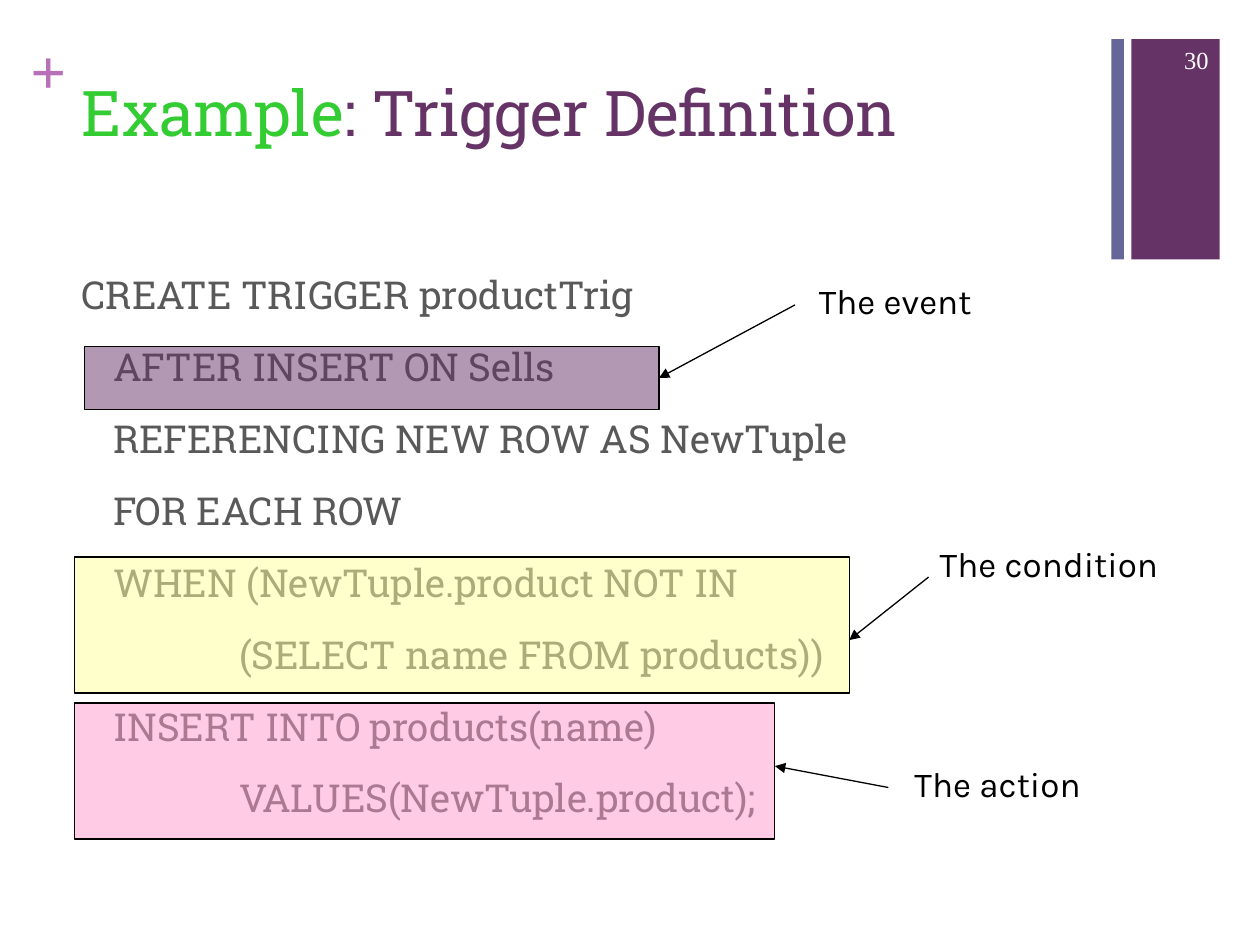
import pptx
import pptx.util
import pptx.dml.color
import pptx.enum.shapes
import pptx.enum.text
import pptx.oxml
import pptx.oxml.ns
import lxml.etree

SHAPES = pptx.enum.shapes.MSO_SHAPE
ANCHOR = pptx.enum.text.MSO_ANCHOR
ALIGN = pptx.enum.text.PP_ALIGN
COLUMNS, ROWS = 100, 75  # grid over the whole slide

PURPLE, BLACK = "663366", "000000"
SLAB, SANS, SERIF = "Roboto Slab", "Karla", "Times New Roman"
CODE_INDENTS = (0, 2.5, 12.5)  # columns for each code level


def color(value):
    return pptx.dml.color.RGBColor.from_string(value)


def add_element(parent, tag, **attributes):
    child = lxml.etree.SubElement(parent, pptx.oxml.ns.qn(tag))
    for name, value in attributes.items():
        child.set(name, str(value))
    return child


class SlideBuilder:
    def __init__(self, presentation):
        self.presentation = presentation
        self.slide = presentation.slides.add_slide(presentation.slide_layouts[5])

    def x(self, columns):
        return int(self.presentation.slide_width * columns / COLUMNS)

    def y(self, rows):
        return int(self.presentation.slide_height * rows / ROWS)

    def area(self, left, top, width, height):
        return self.x(left), self.y(top), self.x(width), self.y(height)

    def style(self, paragraph, font, size, fill, bold=False):
        paragraph.font.name = font
        paragraph.font.size = pptx.util.Pt(size)
        paragraph.font.bold = bold
        paragraph.font.color.rgb = color(fill)

    def title(self, area, parts):
        shape = self.slide.shapes.title
        shape.left, shape.top, shape.width, shape.height = self.area(*area)
        frame = shape.text_frame
        frame.vertical_anchor = ANCHOR.TOP
        frame.auto_size = pptx.enum.text.MSO_AUTO_SIZE.NONE
        paragraph = frame.paragraphs[0]
        paragraph.alignment = ALIGN.LEFT
        for text, fill in parts:
            run = paragraph.add_run()
            run.text = text
            run.font.color.rgb = color(fill)
        paragraph.font.name = SLAB
        paragraph.font.size = pptx.util.Pt(36)

    def text(self, area, text, font, size, fill, bold=False, wrap=True,
             inset=True, align=ALIGN.LEFT, anchor=ANCHOR.TOP):
        shape = self.slide.shapes.add_textbox(*self.area(*area))
        frame = shape.text_frame
        frame.word_wrap = wrap
        frame.vertical_anchor = anchor
        if not inset:
            frame.margin_left = frame.margin_right = 0
            frame.margin_top = frame.margin_bottom = 0
        paragraph = frame.paragraphs[0]
        paragraph.text = text
        paragraph.alignment = align
        self.style(paragraph, font, size, fill, bold)
        return shape

    def code(self, area, lines):
        """Code lines, each given as (indent level, text)."""
        frame = self.slide.shapes.add_textbox(*self.area(*area)).text_frame
        frame.word_wrap = True
        for index, (level, line) in enumerate(lines):
            paragraph = frame.add_paragraph() if index else frame.paragraphs[0]
            paragraph.text = line
            properties = paragraph._p.get_or_add_pPr()
            properties.set("marL", str(self.x(CODE_INDENTS[level])))
            properties.set("indent", "0")
            paragraph.line_spacing = 0.8
            if index:
                paragraph.space_before = pptx.util.Pt(20)
            self.style(paragraph, SLAB, 22, "595959")

    def box(self, area, fill, opacity=100, outline=None):
        shape = self.slide.shapes.add_shape(SHAPES.RECTANGLE, *self.area(*area))
        shape.shadow.inherit = False
        shape.fill.solid()
        shape.fill.fore_color.rgb = color(fill)
        if opacity < 100:
            srgb = shape._element.spPr.find(".//" + pptx.oxml.ns.qn("a:srgbClr"))
            add_element(srgb, "a:alpha", val=opacity * 1000)
        if outline:
            shape.line.color.rgb = color(outline)
            shape.line.width = pptx.util.Pt(0.75)
        else:
            shape.line.fill.background()
        return shape

    def arrow(self, start, end):
        connector = self.slide.shapes.add_connector(
            pptx.enum.shapes.MSO_CONNECTOR.STRAIGHT,
            self.x(start[0]), self.y(start[1]), self.x(end[0]), self.y(end[1]))
        connector.line.color.rgb = color(BLACK)
        connector.line.width = pptx.util.Pt(0.75)
        add_element(connector.line._get_or_add_ln(), "a:tailEnd", type="triangle")
        add_element(connector._element.spPr, "a:effectLst")
        return connector

    def annotation(self, area, fill, label, label_area, start, end_row):
        """A tinted box with a label and an arrow to its right edge."""
        left, _, width, _ = area
        self.slide.shapes.add_group_shape([
            self.box(area, fill, opacity=50, outline=BLACK),
            self.text(label_area, label, SANS, 20, BLACK, wrap=False),
            self.arrow(start, (left + width, end_row)),
        ])


def main():
    presentation = pptx.Presentation()
    presentation.slide_width = pptx.util.Inches(10)
    presentation.slide_height = pptx.util.Inches(7.5)
    builder = SlideBuilder(presentation)

    # Decoration
    builder.box((89.8, 3.1, 7, 17.5), PURPLE)
    builder.text((2.4, 2.5, 2.8, 6), "+", SERIF, 36, "B870B8", bold=True, inset=False)
    builder.box((88.2, 3.1, 1, 17.5), "666699")

    # Title, code and slide number
    builder.title((5.5, 5.3, 82.6, 12.2),
                  [("Example", "33CC33"), (": Trigger Definition", PURPLE)])
    builder.code((5.5, 21.7, 82.6, 45.3), [
        (0, "CREATE TRIGGER productTrig"),
        (1, "AFTER INSERT ON Sells"),
        (1, "REFERENCING NEW ROW AS NewTuple"),
        (1, "FOR EACH ROW"),
        (1, "WHEN (NewTuple.product NOT IN"),
        (2, "(SELECT name FROM products))"),
        (1, "INSERT INTO products(name)"),
        (2, "VALUES(NewTuple.product);"),
    ])
    builder.text((90.8, 2.7, 6.1, 4), "30", SERIF, 14, "FFFFFF",
                 align=ALIGN.RIGHT, anchor=ANCHOR.MIDDLE)

    # Annotations: box, colour, label, label box, arrow start, arrow end row
    for annotation in [
        ((6.7, 27.5, 45.6, 5), PURPLE, "The event",
         (64, 21.7, 14.8, 4.4), (63.1, 24.2), 30),
        ((5.9, 44.2, 61.5, 10.8), "FFFF99", "The condition",
         (73.6, 42.6, 19.8, 4.4), (73.7, 45.8), 50.8),
        ((5.9, 55.8, 55.6, 10.8), "FF99CC", "The action",
         (71.6, 60, 15.6, 4.4), (70.5, 62.5), 60.8),
    ]:
        builder.annotation(*annotation)

    presentation.save("out.pptx")


if __name__ == "__main__":
    main()
